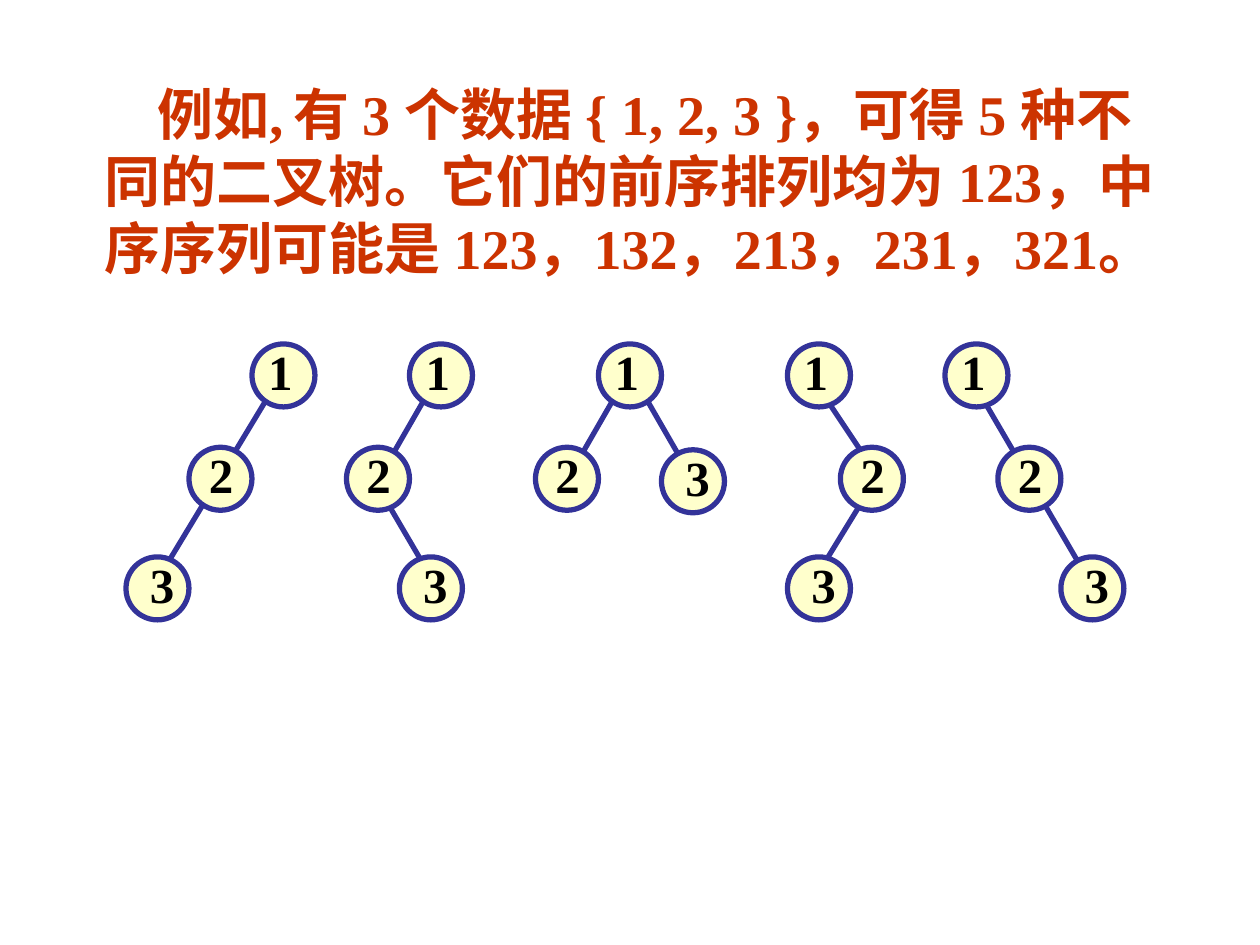
from dataclasses import dataclass

from lxml import etree
from pptx import Presentation
from pptx.dml.color import RGBColor
from pptx.enum.shapes import MSO_CONNECTOR, MSO_SHAPE
from pptx.enum.text import MSO_ANCHOR, MSO_AUTO_SIZE, PP_ALIGN
from pptx.oxml.ns import qn
from pptx.util import Inches, Pt

STRAIGHT = MSO_CONNECTOR.STRAIGHT
OVAL = MSO_SHAPE.OVAL
MIDDLE = MSO_ANCHOR.MIDDLE
FIT_TEXT = MSO_AUTO_SIZE.SHAPE_TO_FIT_TEXT
CENTER = PP_ALIGN.CENTER

COLORS = {"statement": "CC3300", "label": "000000", "node": "FFFFCC", "outline": "333399"}
FONT = "Times New Roman"
NODE_SIZE = 0.5
ROOT_TOP, CHILD_TOP, LEAF_TOP = 2.73, 3.55, 4.42
LABEL_SHIFT = {"1": 0.03, "2": 0.06, "3": 0.09}
STATEMENT = (
    "例如,\t有 3 个数据 { 1, 2, 3 }，可得 5 种不同的二叉树。它们的前序排列均为 "
    "123，中序序列可能是 123，132，213，231，321。"
)


@dataclass(frozen=True)
class Node:
    label: str
    left: float
    top: float


@dataclass(frozen=True)
class Edge:
    start_x: float
    start_y: float
    end_x: float
    end_y: float


@dataclass(frozen=True)
class Tree:
    nodes: list[Node]
    edges: list[Edge]


def chain(root: float, child: float, leaf: float, *edges: Edge) -> Tree:
    nodes = [Node("1", root, ROOT_TOP), Node("2", child, CHILD_TOP), Node("3", leaf, LEAF_TOP)]
    return Tree(nodes, list(edges))


TREES = [
    chain(2, 1.5, 1, Edge(2.17, 3.08, 1.33, 4.47)),
    chain(3.25, 2.75, 3.17, Edge(3.42, 3.08, 3.08, 3.67), Edge(3.08, 4, 3.42, 4.58)),
    Tree(
        [Node("1", 4.75, ROOT_TOP), Node("2", 4.25, CHILD_TOP), Node("3", 5.25, 3.57)],
        [Edge(4.92, 3.08, 4.58, 3.67), Edge(5.08, 3.08, 5.42, 3.67)],
    ),
    chain(6.25, 6.67, 6.25, Edge(6.5, 3.08, 7, 3.83), Edge(6.83, 4, 6.42, 4.67)),
    chain(7.5, 7.92, 8.42, Edge(7.75, 3.08, 8.58, 4.5)),
]


def color(name: str) -> RGBColor:
    return RGBColor.from_string(COLORS[name])


def style_paragraph(paragraph, size: int, color_name: str) -> None:
    font = paragraph.font
    font.name = FONT
    font.size = Pt(size)
    font.bold = True
    font.color.rgb = color(color_name)


def style_line(line) -> None:
    line.color.rgb = color("outline")
    line.width = Pt(3)


def draw_statement(page) -> None:
    box = page.shapes.add_textbox(Inches(0.73), Inches(0.58), Inches(8.68), Inches(2.24))
    frame = box.text_frame
    frame.word_wrap = True
    frame.auto_size = FIT_TEXT
    paragraph = frame.paragraphs[0]
    paragraph.text = STATEMENT
    properties = paragraph._p.get_or_add_pPr()
    properties.set("indent", str(Inches(0.42)))
    tabs = etree.SubElement(properties, qn("a:tabLst"))
    etree.SubElement(tabs, qn("a:tab"), pos=str(Inches(1.84)), algn="l")
    style_paragraph(paragraph, 32, "statement")


def draw_edge(page, edge: Edge) -> None:
    line = page.shapes.add_connector(
        STRAIGHT,
        Inches(edge.start_x),
        Inches(edge.start_y),
        Inches(edge.end_x),
        Inches(edge.end_y),
    )
    style_line(line.line)
    etree.SubElement(line._element.spPr, qn("a:effectLst"))


def draw_node(page, node: Node) -> None:
    circle = page.shapes.add_shape(
        OVAL, Inches(node.left), Inches(node.top), Inches(NODE_SIZE), Inches(NODE_SIZE)
    )
    circle.shadow.inherit = False
    circle.fill.solid()
    circle.fill.fore_color.rgb = color("node")
    style_line(circle.line)

    box = page.shapes.add_textbox(
        Inches(node.left + LABEL_SHIFT[node.label]),
        Inches(node.top - 0.07),
        Inches(0.39),
        Inches(0.57),
    )
    frame = box.text_frame
    frame.word_wrap = False
    frame.auto_size = FIT_TEXT
    frame.vertical_anchor = MIDDLE
    paragraph = frame.paragraphs[0]
    paragraph.text = node.label
    paragraph.alignment = CENTER
    style_paragraph(paragraph, 28, "label")


def draw_tree(page, tree: Tree) -> None:
    for edge in tree.edges:
        draw_edge(page, edge)
    for node in tree.nodes:
        draw_node(page, node)


def main() -> None:
    deck = Presentation()
    deck.slide_width = Inches(10)
    deck.slide_height = Inches(7.5)
    page = deck.slides.add_slide(deck.slide_layouts[6])
    draw_statement(page)
    for tree in TREES:
        draw_tree(page, tree)
    deck.save("out.pptx")


if __name__ == "__main__":
    main()
